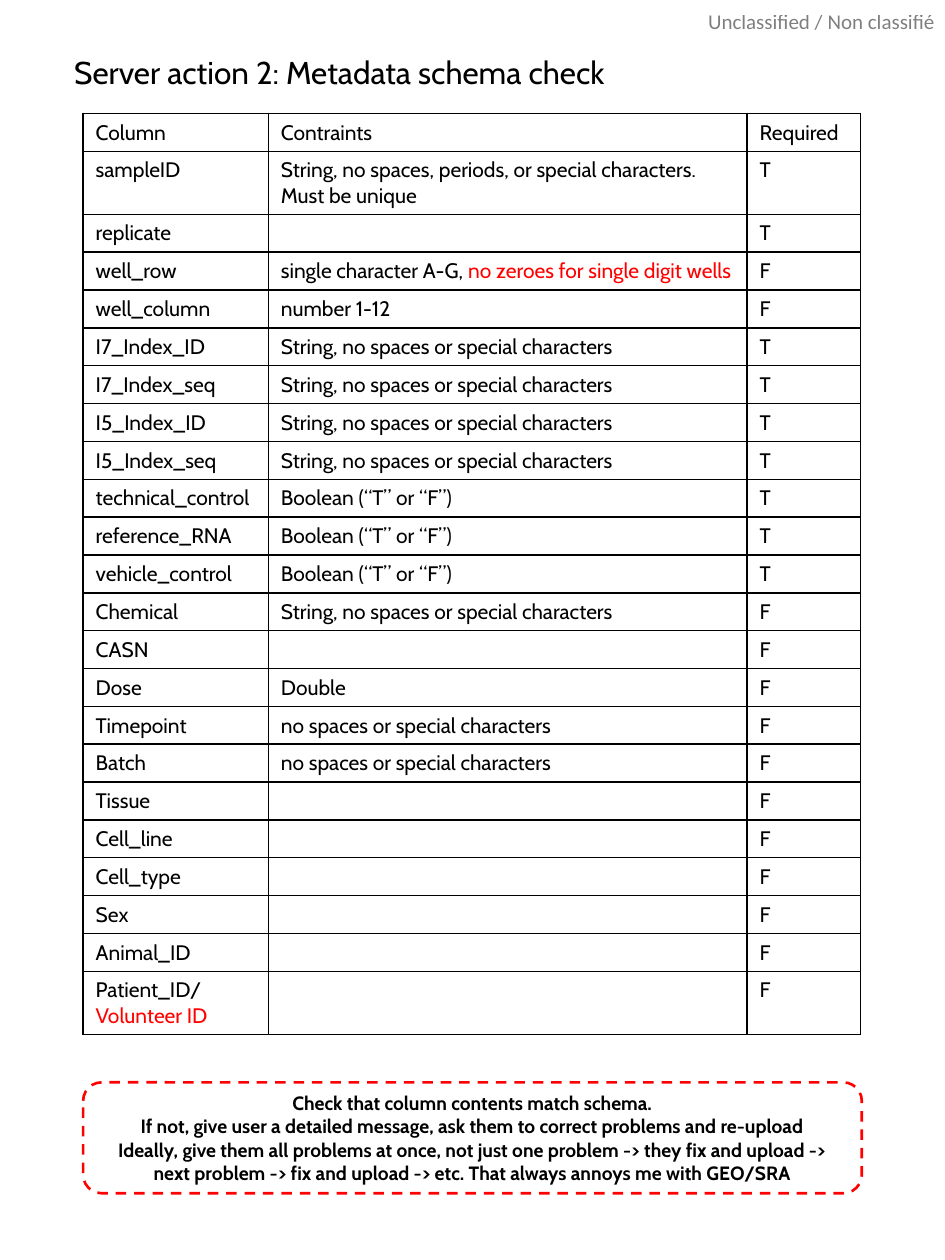
import pptx
import pptx.dml.color
import pptx.enum.dml
import pptx.enum.shapes
import pptx.enum.text
import pptx.oxml.ns
import pptx.util
from lxml import etree
from pptx.util import Inches

COLORS = {"black": "000000", "red": "FF0000"}
FONT = "Cabin"
COL_WIDTHS = (1.47, 3.8, 0.9)
ROW_HEIGHT, TALL_ROW_HEIGHT = 0.3, 0.48

PLAIN = "no spaces or special characters"
STRING = "String, " + PLAIN
BOOLEAN = "Boolean (“T” or “F”)"

# A cell is one string or a list of (text, color) pairs.
ROWS = [
    ("Column", "Contraints", "Required"),
    ("sampleID", "String, no spaces, periods, or special characters. Must be unique", "T"),
    ("replicate", "", "T"),
    ("well_row", [("single character A-G, ", "black"),
                  ("no zeroes for single digit wells", "red")], "F"),
    ("well_column", "number 1-12", "F"),
    ("I7_Index_ID", STRING, "T"),
    ("I7_Index_seq", STRING, "T"),
    ("I5_Index_ID", STRING, "T"),
    ("I5_Index_seq", STRING, "T"),
    ("technical_control", BOOLEAN, "T"),
    ("reference_RNA", BOOLEAN, "T"),
    ("vehicle_control", BOOLEAN, "T"),
    ("Chemical", STRING, "F"),
    ("CASN", "", "F"),
    ("Dose", "Double", "F"),
    ("Timepoint", PLAIN, "F"),
    ("Batch", PLAIN, "F"),
    ("Tissue", "", "F"),
    ("Cell_line", "", "F"),
    ("Cell_type", "", "F"),
    ("Sex", "", "F"),
    ("Animal_ID", "", "F"),
    ([("Patient_ID/", "black"), ("Volunteer ID", "red")], "", "F"),
]

NOTE = [
    "Check that column contents match schema.",
    "If not, give user a detailed message, ask them to correct problems and re-upload",
    "Ideally, give them all problems at once, not just one problem -> they fix and upload -> "
    "next problem -> fix and upload -> etc. That always annoys me with GEO/SRA",
]


def rgb(color):
    return pptx.dml.color.RGBColor.from_string(COLORS[color])


def sub(parent, tag, **attrs):
    return etree.SubElement(parent, pptx.oxml.ns.qn(tag), attrs)


def add_run(p, text, size, color="black", name=FONT, bold=False):
    r = p.add_run()
    r.text = text
    formats = {"size": pptx.util.Pt(size), "name": name, "bold": bold}
    for key, value in formats.items():
        setattr(r.font, key, value)
    r.font.color.rgb = rgb(color)
    return r


def add_label(s, box, text, size, name=FONT, margin=None):
    """Add one unwrapped line of text and return its run."""
    tf = s.shapes.add_textbox(*map(Inches, box)).text_frame
    formats = {"word_wrap": False,
               "auto_size": pptx.enum.text.MSO_AUTO_SIZE.SHAPE_TO_FIT_TEXT}
    if margin is not None:
        for side in ("left", "top", "right", "bottom"):
            formats["margin_" + side] = Inches(margin)
    for key, value in formats.items():
        setattr(tf, key, value)
    return add_run(tf.paragraphs[0], text, size, name=name)


def set_borders(cell):
    tc_pr = cell._tc.get_or_add_tcPr()
    for tag in ("a:lnL", "a:lnR", "a:lnT", "a:lnB"):
        ln = sub(tc_pr, tag, w=str(pptx.util.Pt(1)))
        sub(sub(ln, "a:solidFill"), "a:srgbClr", val=COLORS["black"])


def fill_cell(cell, content):
    set_borders(cell)
    cell.fill.background()
    p = cell.text_frame.paragraphs[0]
    if not content:
        # Keeps an empty cell from growing to the default text size.
        sub(p._p, "a:endParaRPr", sz="1200")
        return
    runs = [(content, "black")] if isinstance(content, str) else content
    for text, color in runs:
        add_run(p, text, 12, color)


def add_schema_table(s):
    heights = [ROW_HEIGHT] * len(ROWS)
    heights[1] = TALL_ROW_HEIGHT
    table = s.shapes.add_table(
        len(ROWS), len(COL_WIDTHS), Inches(0.66), Inches(0.9),
        Inches(sum(COL_WIDTHS)), Inches(sum(heights))).table
    table.first_row = table.horz_banding = False
    for column, width in zip(table.columns, COL_WIDTHS):
        column.width = Inches(width)
    for row, height, contents in zip(table.rows, heights, ROWS):
        row.height = Inches(height)
        for cell, content in zip(row.cells, contents):
            fill_cell(cell, content)


def add_note(s):
    sp = s.shapes.add_shape(pptx.enum.shapes.MSO_SHAPE.ROUNDED_RECTANGLE,
                            Inches(0.66), Inches(8.59), Inches(6.18), Inches(0.88))
    sp.shadow.inherit = False
    sp.fill.background()
    sp.line.color.rgb = rgb("red")
    sp.line.width = pptx.util.Pt(1.5)
    sp.line.dash_style = pptx.enum.dml.MSO_LINE.DASH
    tf = sp.text_frame
    tf.word_wrap = True
    tf.vertical_anchor = pptx.enum.text.MSO_ANCHOR.MIDDLE
    for i, text in enumerate(NOTE):
        p = tf.add_paragraph() if i else tf.paragraphs[0]
        p.alignment = pptx.enum.text.PP_ALIGN.CENTER
        add_run(p, text, 11, bold=True)


def main():
    prs = pptx.Presentation()
    prs.slide_width, prs.slide_height = Inches(7.5), Inches(10)
    s = prs.slides.add_slide(prs.slide_layouts[6])
    marking = add_label(s, (5.62, 0.07, 1.84, 0.2), "Unclassified / Non classifié",
                        12, name="Calibri", margin=0)
    clr = marking._r.find(".//" + pptx.oxml.ns.qn("a:srgbClr"))
    sub(clr, "a:alpha", val="50000")
    add_label(s, (0.49, 0.37, 4.62, 0.4), "Server action 2: Metadata schema check", 18)
    add_schema_table(s)
    add_note(s)
    prs.save("out.pptx")


if __name__ == "__main__":
    main()
